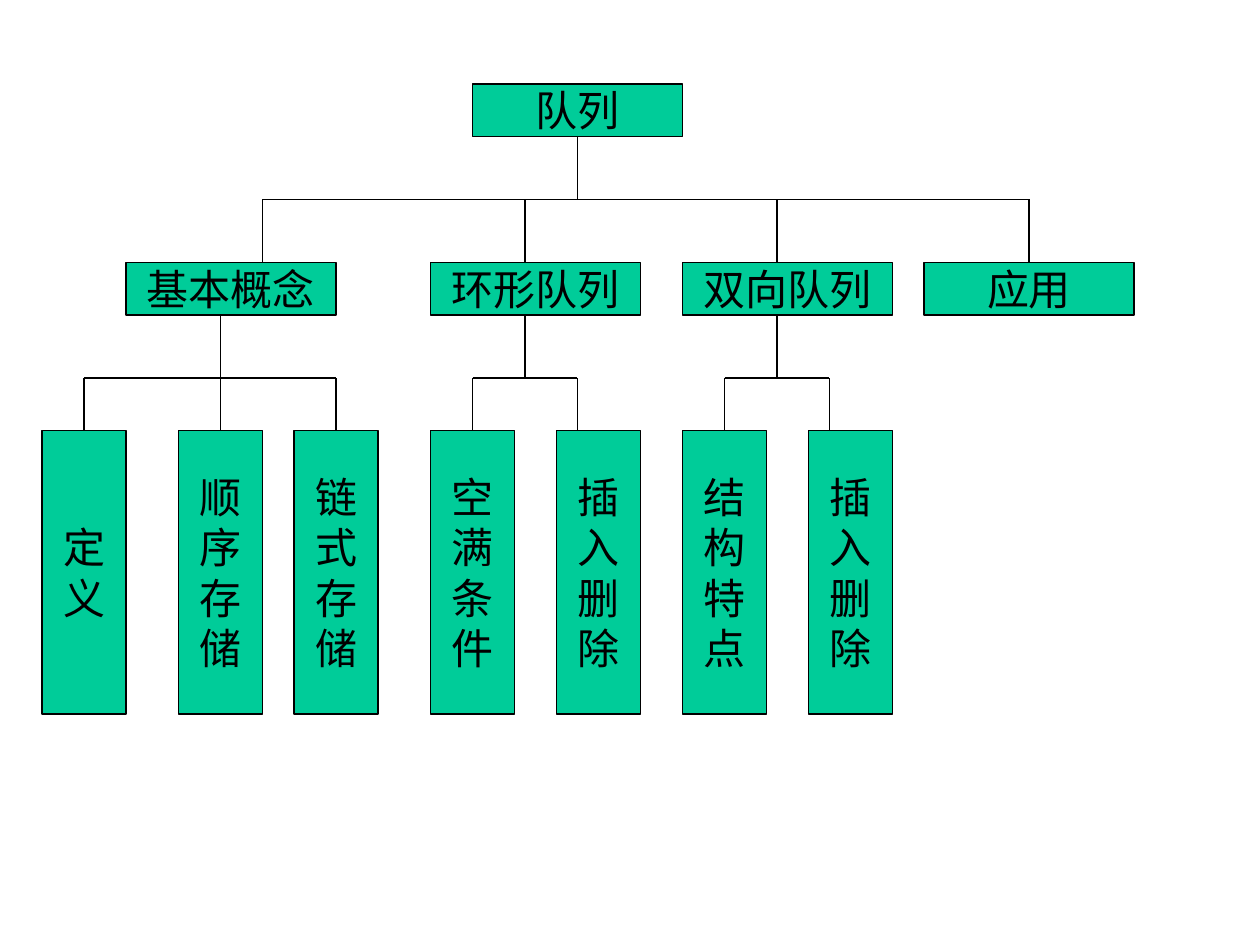
from pptx import Presentation
from pptx.dml.color import RGBColor
from pptx.enum.shapes import MSO_CONNECTOR as CONN, MSO_SHAPE as SHAPE
from pptx.enum.text import MSO_ANCHOR as ANCHOR, PP_ALIGN as ALIGN
from pptx.oxml.ns import qn
from pptx.util import Emu, Pt
from lxml import etree

GREEN = RGBColor(0x00, 0xCC, 0x99)
BLACK = RGBColor(0x00, 0x00, 0x00)
PX = 9525  # 96 px to the inch
TOP, BOTTOM = 0, 2  # connection sites of a rectangle


class TreeChart:
    font = "Times New Roman"
    size = Pt(24)
    line_width = Pt(0.75)

    def __init__(self, slide):
        self.slide = slide

    def box(self, text, x, y, w, h):
        s = self.slide.shapes.add_shape(SHAPE.RECTANGLE, *(Emu(v * PX) for v in (x, y, w, h)))
        s.shadow.inherit = False
        s.fill.solid()
        s.fill.fore_color.rgb = GREEN
        s.line.color.rgb = BLACK
        s.line.width = self.line_width
        tf = s.text_frame
        tf.word_wrap = False
        tf.vertical_anchor = ANCHOR.MIDDLE
        tf.text = text
        for p in tf.paragraphs:
            p.alignment = ALIGN.CENTER
            for r in p.runs:
                r.font.name = self.font
                r.font.size = self.size
                r.font.color.rgb = BLACK
        return s

    def line(self, x1, y1, x2, y2, start=None, end=None):
        c = self.slide.shapes.add_connector(CONN.STRAIGHT, *(Emu(v * PX) for v in (x1, y1, x2, y2)))
        c.line.color.rgb = BLACK
        c.line.width = self.line_width
        etree.SubElement(c._element.spPr, qn("a:effectLst"))
        if start is not None:
            c.begin_connect(start, BOTTOM)
        if end is not None:
            c.end_connect(end, TOP)


# Sizes and rows
BOX_W, BOX_H = 160, 40
LEAF_W, LEAF_H = 64, 216
ROOT_X, ROOT_Y = 360, 64
BRANCH_Y, LEAF_Y = 200, 328
BRANCH_BUS, LEAF_BUS = 152, 288

# Branch text, left edge, line in, line out, leaves (text, left edge, line in)
BRANCHES = [
    ("基本概念", 96, 200, 168, [("定义", 32, 64), ("顺序存储", 136, 168), ("链式存储", 224, 256)]),
    ("环形队列", 328, 400, 400, [("空满条件", 328, 360), ("插入删除", 424, 440)]),
    ("双向队列", 520, 592, 592, [("结构特点", 520, 552), ("插入删除", 616, 632)]),
    ("应用", 704, 784, 784, []),
]

prs = Presentation()
prs.slide_width, prs.slide_height = Emu(960 * PX), Emu(720 * PX)
chart = TreeChart(prs.slides.add_slide(prs.slide_layouts[6]))


def add_node(text, x, y, w, h, line_x, bus_y):
    """Add a box and the line down to it, joined where it meets the middle."""
    s = chart.box(text, x, y, w, h)
    chart.line(line_x, bus_y, line_x, y, end=s if line_x == x + w // 2 else None)


# Root and the line across the branches
root = chart.box("队列", ROOT_X, ROOT_Y, BOX_W, BOX_H)
root_mid = ROOT_X + BOX_W // 2
chart.line(root_mid, ROOT_Y + BOX_H, root_mid, BRANCH_BUS, start=root)
chart.line(BRANCHES[0][2], BRANCH_BUS, BRANCHES[-1][2], BRANCH_BUS)

for text, x, line_in, line_out, leaves in BRANCHES:
    # Branch
    add_node(text, x, BRANCH_Y, BOX_W, BOX_H, line_in, BRANCH_BUS)
    if not leaves:
        continue

    # Leaves, one character to a line
    chart.line(line_out, BRANCH_Y + BOX_H, line_out, LEAF_BUS)
    chart.line(leaves[0][2], LEAF_BUS, leaves[-1][2], LEAF_BUS)
    for leaf_text, leaf_x, leaf_in in leaves:
        add_node("\n".join(leaf_text), leaf_x, LEAF_Y, LEAF_W, LEAF_H, leaf_in, LEAF_BUS)

prs.save("out.pptx")
